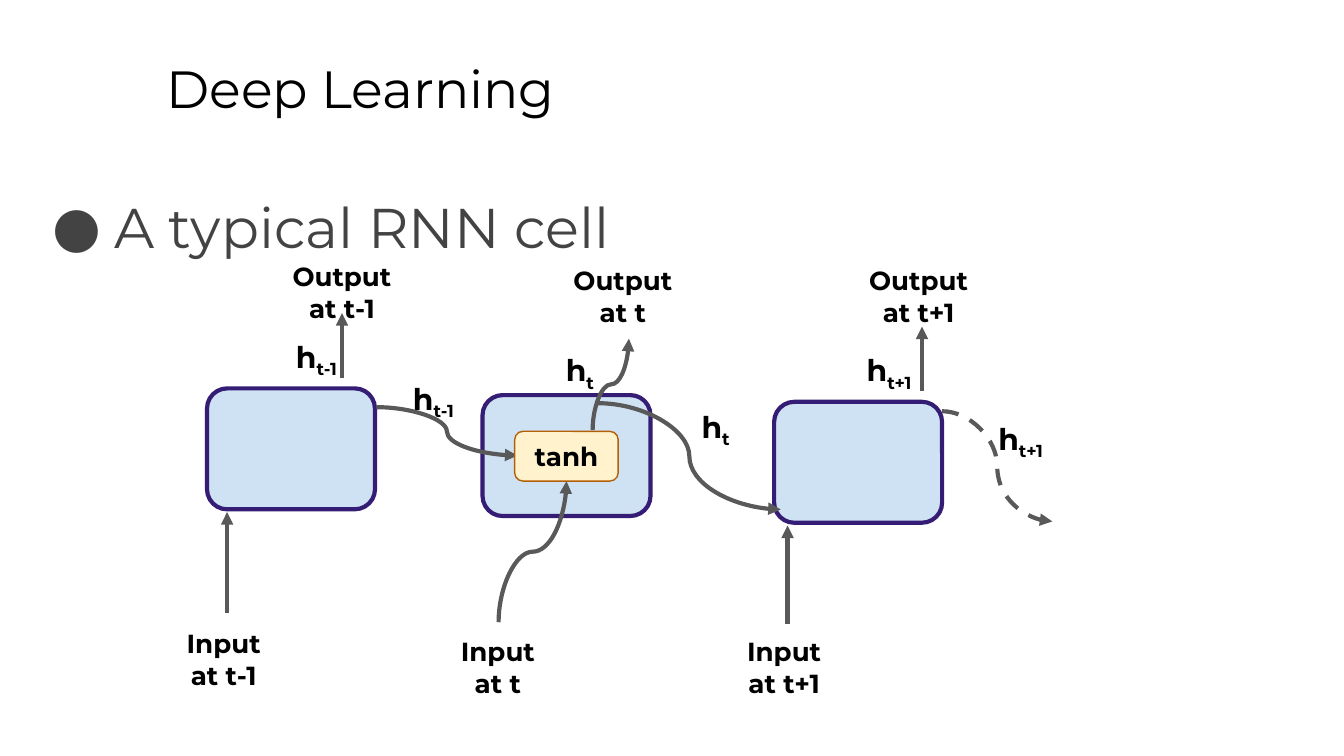
from lxml import etree
from pptx import Presentation
from pptx import util as u
from pptx.dml.color import RGBColor
from pptx.enum import dml, shapes, text
from pptx.oxml.ns import qn

COLORS = {
    "ink": "000000", "body": "434343", "arrow": "595959",
    "cell": "CFE2F3", "cell_edge": "351C75",
    "tanh": "FFF2CC", "tanh_edge": "B45F06",
}
FONT = "Montserrat"
COLUMNS, ROWS = 100, 56.25
UNIT = u.Inches(0.1)
LABEL_SIZE = (9.7, 3.7)
CELL_SIZE = (12.5, 9)


def grid(*lengths):
    return [round(length * UNIT) for length in lengths]


def color(name):
    return RGBColor.from_string(COLORS[name])


def style(run, size, ink="ink", bold=False):
    run.font.name = FONT
    run.font.size = u.Pt(size)
    run.font.bold = bold
    run.font.color.rgb = color(ink)


def add_words(slide, box, words, size, ink="ink", bold=False, align=text.PP_ALIGN.LEFT):
    frame = slide.shapes.add_textbox(*grid(*box)).text_frame
    frame.word_wrap = True
    frame.margin_left = frame.margin_right = grid(1)[0]
    frame.margin_top = frame.margin_bottom = grid(1)[0]
    frame.text = words
    for paragraph in frame.paragraphs:
        paragraph.alignment = align
        for run in paragraph.runs:
            style(run, size, ink, bold)
    return frame


def add_label(slide, x, y, words, size=14):
    return add_words(slide, (x, y, *LABEL_SIZE), words, size, bold=True,
                     align=text.PP_ALIGN.CENTER)


def add_state(slide, x, y, step):
    paragraph = add_label(slide, x, y, "h", 16).paragraphs[0]
    subscript = paragraph.add_run()
    subscript.text = step
    style(subscript, 16, bold=True)
    subscript._r.get_or_add_rPr().set("baseline", "-25000")


def add_rounded(slide, box, fill, edge, width):
    rounded = slide.shapes.add_shape(shapes.MSO_SHAPE.ROUNDED_RECTANGLE, *grid(*box))
    rounded.shadow.inherit = False
    rounded.fill.solid()
    rounded.fill.fore_color.rgb = color(fill)
    rounded.line.color.rgb = color(edge)
    rounded.line.width = u.Pt(width)
    return rounded


def add_arrow(slide, start, end, kind=shapes.MSO_CONNECTOR.STRAIGHT, dashed=False):
    arrow = slide.shapes.add_connector(kind, *grid(*start, *end))
    arrow.line.color.rgb = color("arrow")
    arrow.line.width = u.Pt(2.25)
    if dashed:
        arrow.line.dash_style = dml.MSO_LINE.DASH
    etree.SubElement(arrow.line._get_or_add_ln(), qn("a:tailEnd"), type="triangle")
    etree.SubElement(arrow.element.spPr, qn("a:effectLst"))
    return arrow


def add_curve(slide, start, end, dashed=False):
    return add_arrow(slide, start, end, shapes.MSO_CONNECTOR.CURVE, dashed)


def add_rising_curve(slide, start, end):
    middle_x, middle_y = (start[0] + end[0]) / 2, (start[1] + end[1]) / 2
    half_run, half_rise = (end[0] - start[0]) / 2, (start[1] - end[1]) / 2
    curve = add_curve(slide, (middle_x - half_rise, middle_y - half_run),
                      (middle_x + half_rise, middle_y + half_run))
    curve.element.spPr.find(qn("a:xfrm")).set("rot", str(270 * 60000))


def add_title(slide, box):
    add_words(slide, box, "Deep Learning", 28)


def add_bullet(slide, box):
    paragraph = add_words(slide, box, "A typical RNN cell", 30, "body").paragraphs[0]
    paragraph.line_spacing = 1.15
    properties = paragraph._p.get_or_add_pPr()
    properties.set("marL", str(u.Inches(0.5)))
    properties.set("indent", str(u.Inches(-0.46)))
    bullet_color = etree.SubElement(properties, qn("a:buClr"))
    etree.SubElement(bullet_color, qn("a:srgbClr"), val=COLORS["body"])
    etree.SubElement(properties, qn("a:buFont"), typeface=FONT)
    etree.SubElement(properties, qn("a:buChar"), char="●")


def add_step(slide, box, step, break_after_input, places):
    x, y = box[:2]
    add_rounded(slide, box, "cell", "cell_edge", 2.25)
    separator = "\n" if break_after_input else " "
    captions = {"input": f"Input{separator}at {step}", "output": f"Output at {step}"}
    for part, (dx, dy) in places.items():
        if part in captions:
            add_label(slide, x + dx, y + dy, captions[part])
        else:
            add_state(slide, x + dx, y + dy, step)


def add_straight_flow(slide, box, input_x, output_x, input_length):
    x, y, _, height = box
    foot = y + height + 0.2
    add_arrow(slide, (x + input_x, foot + input_length), (x + input_x, foot))
    add_arrow(slide, (x + output_x, y - 0.8), (x + output_x, y - 5.6))


def add_inner_cell(slide, box):
    x, y, width, height = box
    add_curve(slide, (x - 10.3, y - 1.8), (x + 0.2, y + 1.8))
    add_rising_curve(slide, (x - 1.2, y + 14.2), (x + width / 2, y + height))
    tanh = add_rounded(slide, box, "tanh", "tanh_edge", 0.75)
    tanh.text_frame.text = "tanh"
    tanh.text_frame.vertical_anchor = text.MSO_ANCHOR.MIDDLE
    activation = tanh.text_frame.paragraphs[0]
    activation.alignment = text.PP_ALIGN.CENTER
    style(activation.runs[0], 14, bold=True)
    add_rising_curve(slide, (x + 5.8, y - 0.1), (x + 8.5, y - 6.9))
    add_curve(slide, (x + 6.2, y - 2.1), (x + 19.8, y + 5.8))


def main():
    deck = Presentation()
    deck.slide_width, deck.slide_height = grid(COLUMNS, ROWS)
    slide = deck.slides.add_slide(deck.slide_layouts[6])
    add_title(slide, (11.4, 3.2, 85.2, 6.3))
    add_bullet(slide, (2.5, 12.6, 97.5, 37.4))

    previous, current, following = [
        (x, 28.9 + 0.5 * index, *CELL_SIZE) for index, x in enumerate((15.4, 35.9, 57.6))
    ]
    add_straight_flow(slide, previous, 1.5, 10.05, 7.5)
    add_straight_flow(slide, following, 1, 11, 7.3)
    add_curve(slide, (70.1, 30.6), (78.3, 38.8), dashed=True)

    add_step(slide, previous, "t-1", True, {
        "input": (-3.6, 16.8), "output": (5.2, -10.5),
        "state_up": (3.3, -4.7), "state_across": (12, -1.6)})
    add_step(slide, current, "t", False, {
        "input": (-3.7, 16.9), "output": (5.6, -10.7),
        "state_up": (2.4, -4.2), "state_across": (12.5, 0)})
    add_step(slide, following, "t+1", False, {
        "input": (-4.1, 16.4), "output": (5.9, -11.2),
        "state_up": (3.7, -4.7), "state_across": (13.5, 0.4)})
    add_inner_cell(slide, (38.3, 32.1, 7.7, 3.7))
    deck.save("out.pptx")


if __name__ == "__main__":
    main()
